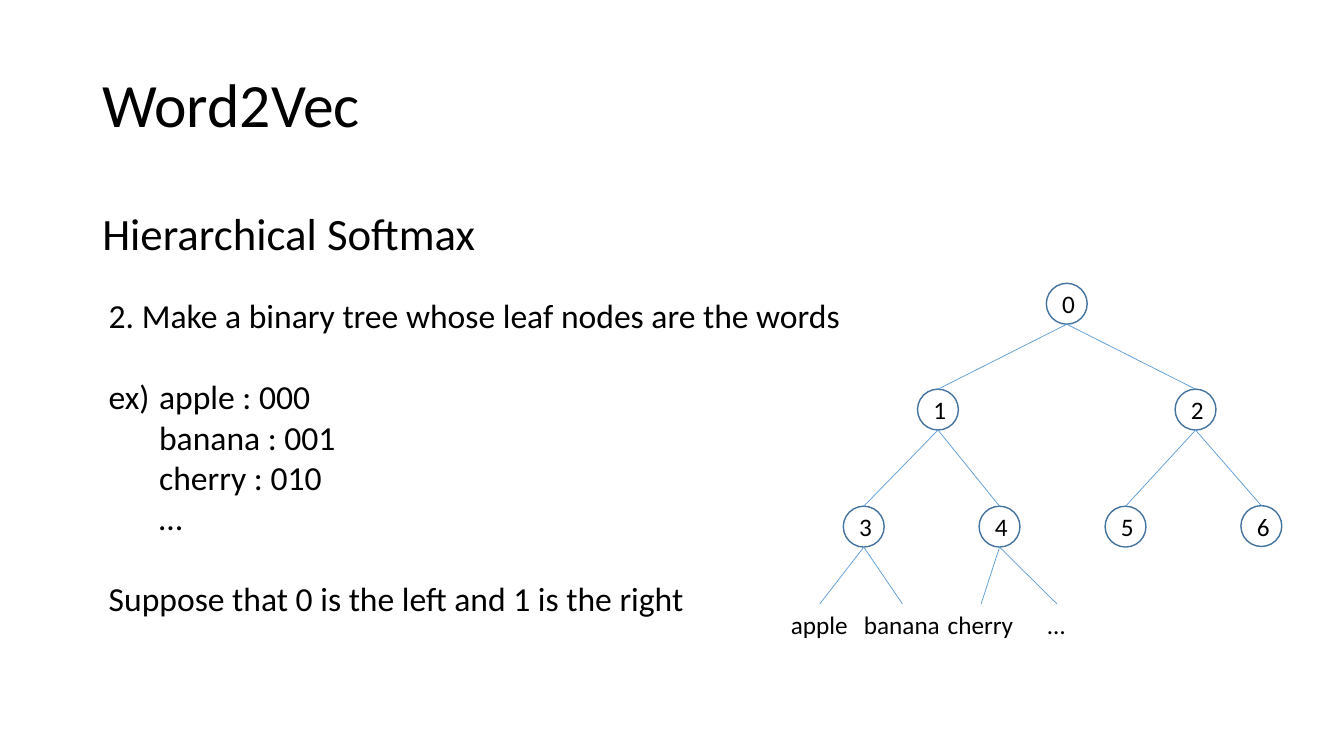
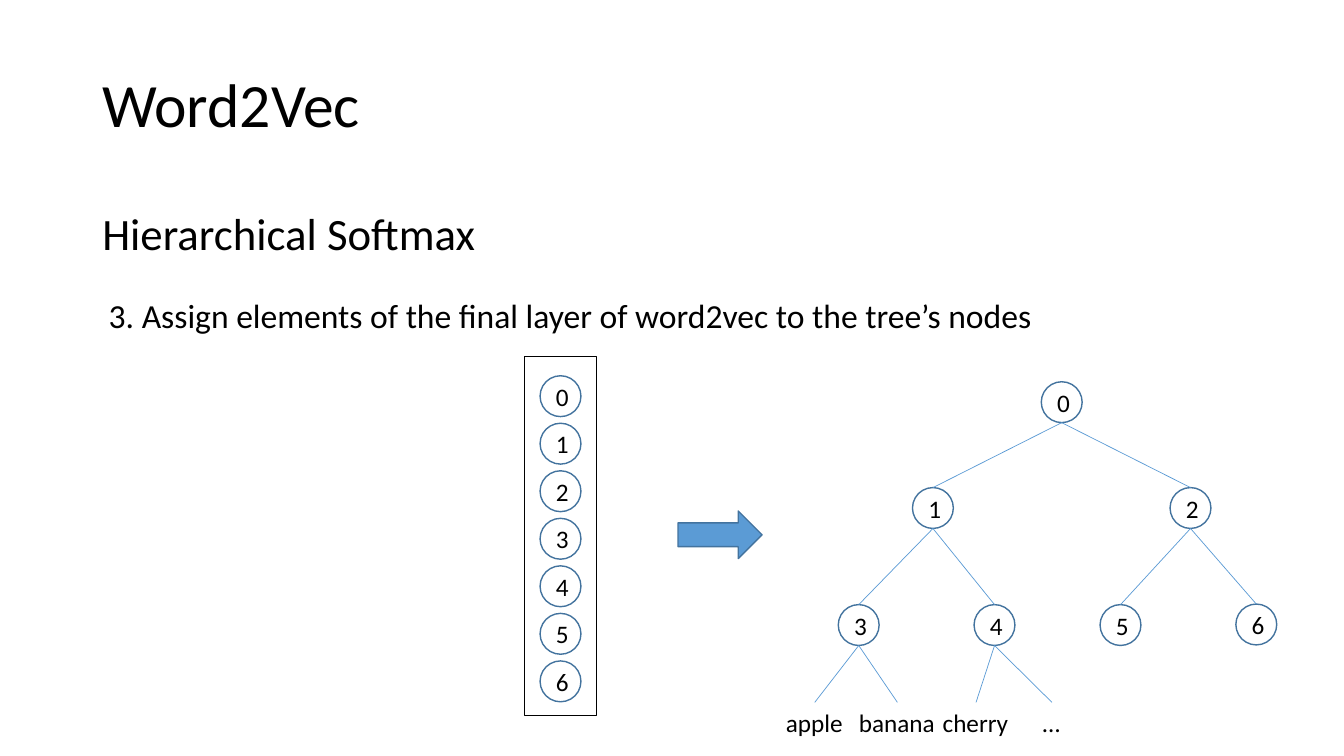
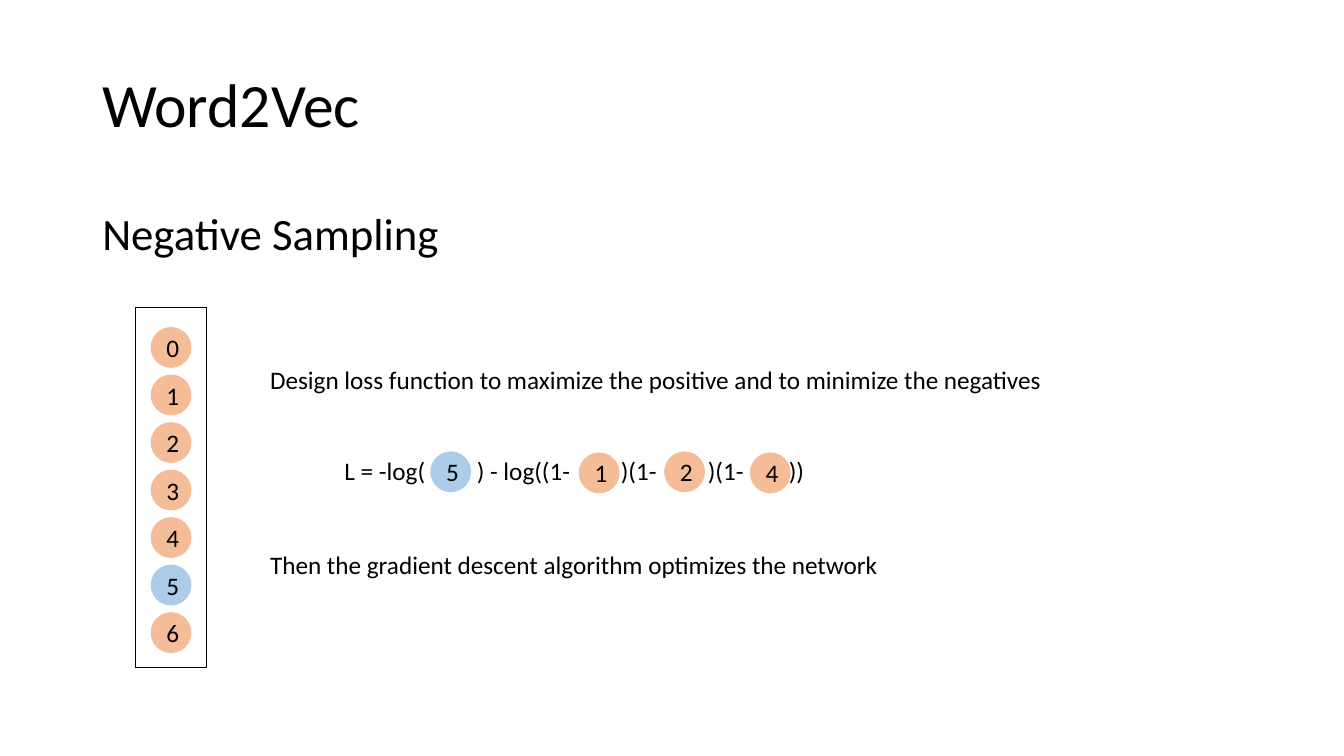
from dataclasses import dataclass

from pptx import Presentation
from pptx.dml.color import RGBColor
from pptx.enum.shapes import MSO_CONNECTOR, MSO_SHAPE
from pptx.enum.text import MSO_ANCHOR, PP_ALIGN
from pptx.oxml.ns import qn
from pptx.oxml.xmlchemy import OxmlElement
from pptx.util import Pt

OVAL = MSO_SHAPE.OVAL
RECTANGLE = MSO_SHAPE.RECTANGLE
RIGHT_ARROW = MSO_SHAPE.RIGHT_ARROW
STRAIGHT = MSO_CONNECTOR.STRAIGHT
TOP = MSO_ANCHOR.TOP
MIDDLE = MSO_ANCHOR.MIDDLE
LEFT = PP_ALIGN.LEFT
CENTER = PP_ALIGN.CENTER


@dataclass(frozen=True)
class Theme:
    font: str = "Calibri"
    ink: str = "000000"
    blue: str = "5B9BD5"
    outline: str = "43739E"
    orange: str = "ED7D31"
    title: int = 44
    heading: int = 32
    body: int = 24
    label: int = 18
    node: float = 29.2


THEME = Theme()
TREE_NODES = [(0, 0), (-92, 75.6), (92, 75.6), (-145, 159.2),
              (-48, 159.2), (42, 159.2), (139, 158.8)]
TREE_EDGES = [(0, 1), (0, 2), (1, 3), (1, 4), (2, 5), (2, 6)]
TREE_WORDS = [("apple", 3, -176.4, 55.4), ("banana", 3, -117.4, 69.1),
              ("cherry", 4, -61.2, 61.9), ("…", 4, -7, 27.4)]
WORD_DROP = 214.4
COLUMN_NODES = 7
COLUMN_STEP = 33.95


def color(value):
    return RGBColor.from_string(value)


def write(frame, text, size=THEME.label, align=LEFT, anchor=TOP, wrap=False,
          gap=0, gap_before=(), tabs=()):
    frame.word_wrap = wrap
    frame.vertical_anchor = anchor
    for index, line in enumerate(text.split("\n")):
        paragraph = frame.paragraphs[0] if index == 0 else frame.add_paragraph()
        paragraph.alignment = align
        if index in gap_before:
            paragraph.space_before = Pt(gap)
        if tabs:
            stops = OxmlElement("a:tabLst")
            for position in tabs:
                stop = OxmlElement("a:tab")
                stop.set("pos", str(Pt(position)))
                stop.set("algn", "l")
                stops.append(stop)
            paragraph._p.get_or_add_pPr().append(stops)
        run = paragraph.add_run()
        run.text = line
        run.font.name = THEME.font
        run.font.size = Pt(size)
        run.font.color.rgb = color(THEME.ink)


class Deck:
    def __init__(self):
        self.presentation = Presentation()
        self.presentation.slide_width = Pt(960)
        self.presentation.slide_height = Pt(540)
        self.slide = None

    def start(self, heading):
        self.slide = self.presentation.slides.add_slide(
            self.presentation.slide_layouts[6])
        self.text("Word2Vec", 66, 21.6, 828, 104.4, size=THEME.title,
                  anchor=MIDDLE, wrap=True)
        self.text(heading, 66, 143.5, 828, 342.7, size=THEME.heading, wrap=True)

    def text(self, text, left, top, width, height=29, **style):
        box = self.slide.shapes.add_textbox(
            Pt(left), Pt(top), Pt(width), Pt(height))
        write(box.text_frame, text, **style)

    def shape(self, kind, left, top, width, height, fill=None, line=None,
              weight=1, opacity=100):
        shape = self.slide.shapes.add_shape(
            kind, Pt(left), Pt(top), Pt(width), Pt(height))
        shape.shadow.inherit = False
        if fill:
            shape.fill.solid()
            shape.fill.fore_color.rgb = color(fill)
            if opacity < 100:
                alpha = OxmlElement("a:alpha")
                alpha.set("val", str(opacity * 1000))
                next(shape.element.spPr.iter(qn("a:srgbClr"))).append(alpha)
        else:
            shape.fill.background()
        if line:
            shape.line.color.rgb = color(line)
            shape.line.width = Pt(weight)
        else:
            shape.line.fill.background()
        return shape

    def node(self, number, x, y, fill=None):
        size = THEME.node
        circle = self.shape(OVAL, x - size / 2, y - size / 2, size, size,
                            fill=fill, line=None if fill else THEME.outline,
                            opacity=50)
        write(circle.text_frame, str(number), align=CENTER, anchor=MIDDLE,
              wrap=True)

    def edge(self, x1, y1, x2, y2):
        edge = self.slide.shapes.add_connector(
            STRAIGHT, Pt(x1), Pt(y1), Pt(x2), Pt(y2))
        edge.line.color.rgb = color(THEME.blue)
        edge.line.width = Pt(0.5)
        edge.element.spPr.append(OxmlElement("a:effectLst"))

    def tree(self, root_x, root_y):
        radius = THEME.node / 2
        centers = [(root_x + dx, root_y + dy) for dx, dy in TREE_NODES]
        for number, (x, y) in enumerate(centers):
            self.node(number, x, y)
        for parent, child in TREE_EDGES:
            (x1, y1), (x2, y2) = centers[parent], centers[child]
            self.edge(x1, y1 + radius, x2, y2 - radius)
        for word, parent, dx, width in TREE_WORDS:
            x, y = root_x + dx, root_y + WORD_DROP
            parent_x, parent_y = centers[parent]
            self.edge(parent_x, parent_y + radius, x, y)
            self.text(word, x - width / 2, y, width)

    def column(self, left, top, fills):
        self.shape(RECTANGLE, left, top, 50.8, 257, line=THEME.ink, weight=0.75)
        for number, fill in enumerate(fills):
            self.node(number, left + 25.4, top + 28.6 + number * COLUMN_STEP, fill)


def binary_tree(deck):
    deck.start("Hierarchical Softmax")
    deck.text("2. Make a binary tree whose leaf nodes are the words\n"
              "ex) \tapple : 000\n\tbanana : 001\n\tcherry : 010\n\t…\n"
              "Suppose that 0 is the left and 1 is the right",
              70.6, 207.4, 547.2, 239.8, size=THEME.body,
              gap=29, gap_before=(1, 5))
    deck.tree(762, 217)


def node_assignment(deck):
    deck.start("Hierarchical Softmax")
    deck.text("3. Assign elements of the final layer of word2vec to the tree’s nodes",
              70.6, 207.4, 696.2, 36, size=THEME.body)
    deck.column(375, 254.4, [None] * COLUMN_NODES)
    deck.shape(RIGHT_ARROW, 484.3, 365, 60, 34, fill=THEME.blue,
               line=THEME.outline)
    deck.tree(758.4, 287.3)


def negative_sampling(deck):
    deck.start("Negative Sampling")
    fills = [THEME.orange] * COLUMN_NODES
    fills[5] = THEME.blue
    deck.column(96.8, 219.6, fills)
    deck.text("Design loss function to maximize the positive and to minimize the negatives",
              185.8, 256.6, 572.4)
    deck.text("L = -log(\t) - log((1-\t)(1-\t)(1-\t))", 239, 321.8, 429.8,
              wrap=True, tabs=(94.5, 197.4, 259.5, 317.4))
    for number, x, y in [(5, 322, 337), (1, 428, 337.8),
                         (2, 489, 337), (4, 550.2, 337.8)]:
        deck.node(number, x, y, fills[number])
    deck.text("Then the gradient descent algorithm optimizes the network",
              185.8, 388.8, 450)


def main():
    deck = Deck()
    binary_tree(deck)
    node_assignment(deck)
    negative_sampling(deck)
    deck.presentation.save("out.pptx")


if __name__ == "__main__":
    main()
